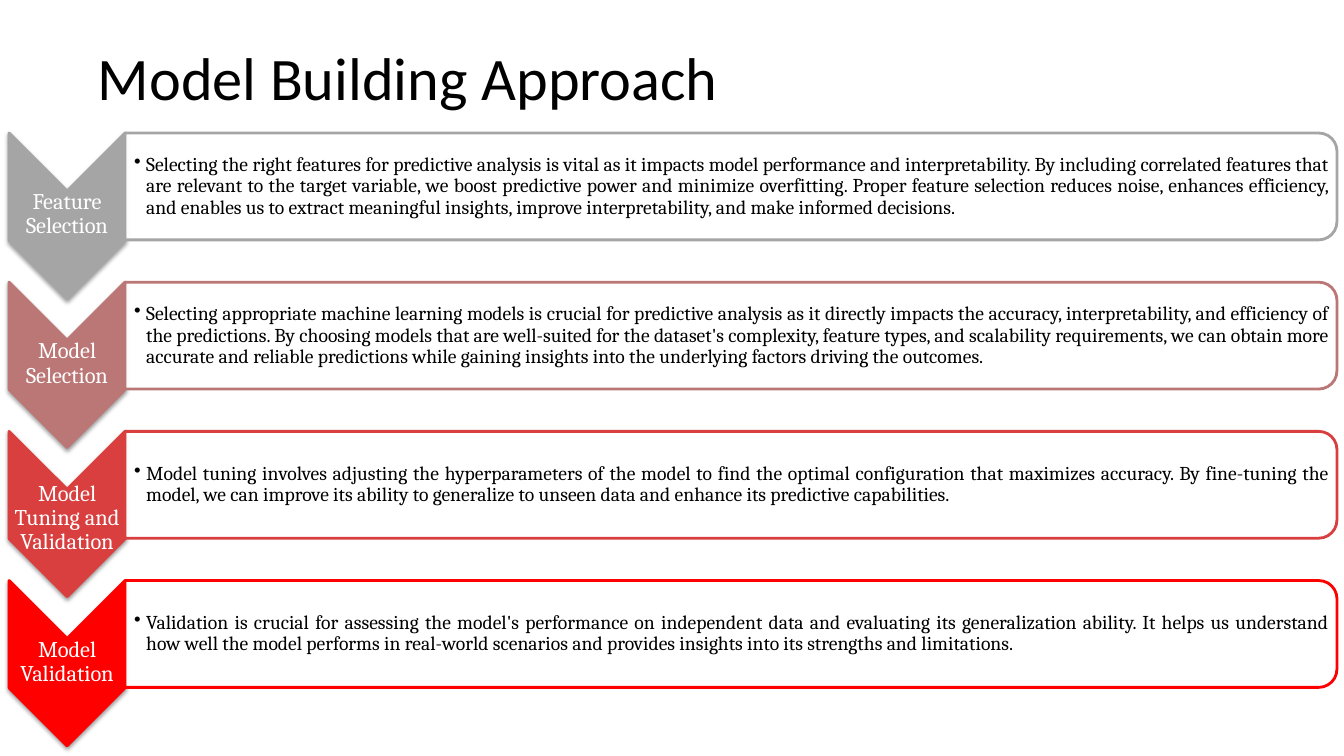
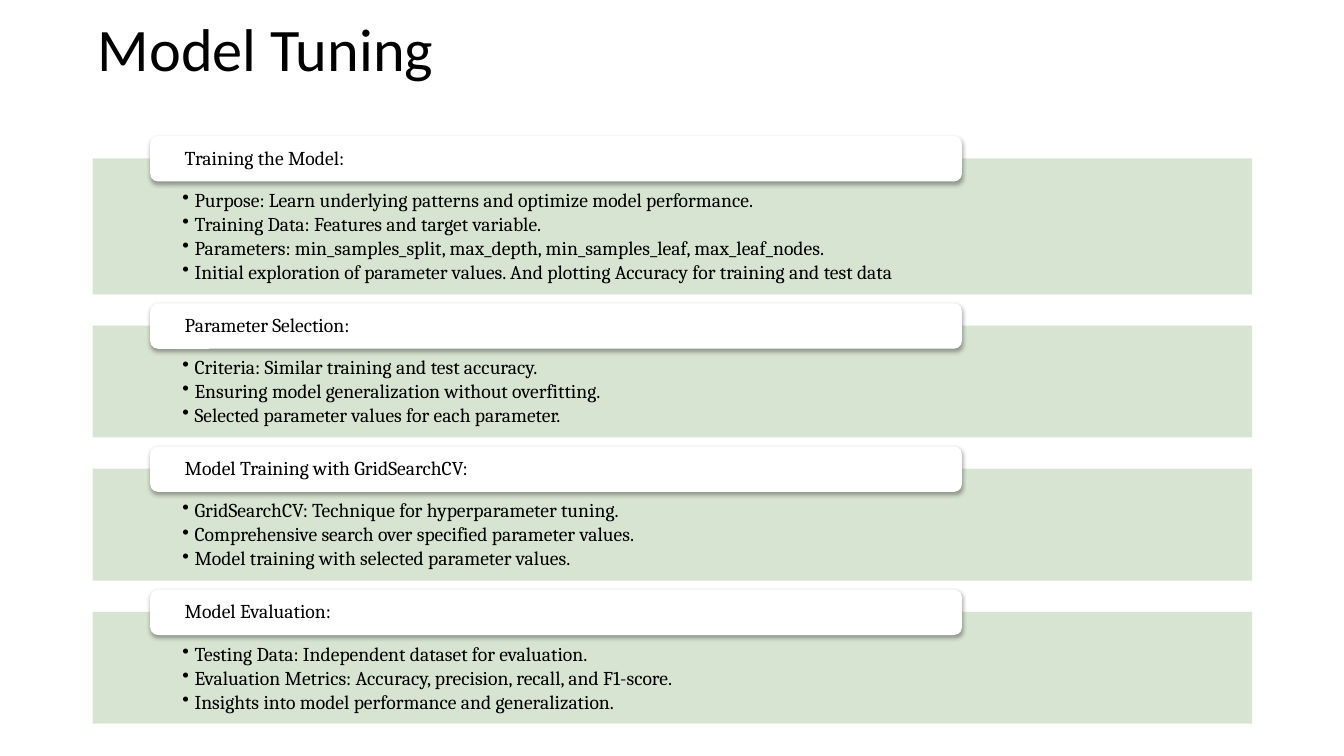
from lxml import etree
from pptx import Presentation
from pptx import util as u
from pptx.dml.color import RGBColor
from pptx.enum import shapes, text
from pptx.oxml.ns import qn

KIND = shapes.MSO_SHAPE
ALIGN = text.PP_ALIGN
ANCHOR = text.MSO_ANCHOR
BLACK, WHITE, PALE_GREEN = "000000", "FFFFFF", "D4E2CE"
TITLE_FONT, BODY_FONT = "Calibri", "Cambria"

STEPS = [
    ("A5A5A5", "Feature Selection", 56,
     "Selecting the right features for predictive analysis is vital as it impacts model performance and "
     "interpretability. By including correlated features that are relevant to the target variable, we boost "
     "predictive power and minimize overfitting. Proper feature selection reduces noise, enhances efficiency, "
     "and enables us to extract meaningful insights, improve interpretability, and make informed decisions."),
    ("BB7676", "Model Selection", 56,
     "Selecting appropriate machine learning models is crucial for predictive analysis as it directly impacts "
     "the accuracy, interpretability, and efficiency of the predictions. By choosing models that are well-suited "
     "for the dataset's complexity, feature types, and scalability requirements, we can obtain more accurate and "
     "reliable predictions while gaining insights into the underlying factors driving the outcomes."),
    ("D93F3F", "Model Tuning and Validation", 49,
     "Model tuning involves adjusting the hyperparameters of the model to find the optimal configuration that "
     "maximizes accuracy. By fine-tuning the model, we can improve its ability to generalize to unseen data and "
     "enhance its predictive capabilities."),
    ("FF0000", "Model Validation", 56,
     "Validation is crucial for assessing the model's performance on independent data and evaluating its "
     "generalization ability. It helps us understand how well the model performs in real-world scenarios and "
     "provides insights into its strengths and limitations."),
]

STAGES = [
    ("Training the Model:", [
        "Purpose: Learn underlying patterns and optimize model performance.",
        "Training Data: Features and target variable.",
        "Parameters: min_samples_split, max_depth, min_samples_leaf, max_leaf_nodes.",
        "Initial exploration of parameter values. And plotting Accuracy for training and test data"]),
    ("Parameter Selection:", [
        "Criteria: Similar training and test accuracy.",
        "Ensuring model generalization without overfitting.",
        "Selected parameter values for each parameter."]),
    ("Model Training with GridSearchCV:", [
        "GridSearchCV: Technique for hyperparameter tuning.",
        "Comprehensive search over specified parameter values.",
        "Model training with selected parameter values."]),
    ("Model Evaluation:", [
        "Testing Data: Independent dataset for evaluation.",
        "Evaluation Metrics: Accuracy, precision, recall, and F1-score.",
        "Insights into model performance and generalization."]),
]


def px(length):
    return u.Emu(int(length * 9144))


def color(value):
    return RGBColor.from_string(value)


def add_bullet(para):
    props = para._p.get_or_add_pPr()
    props.set("marL", str(px(12)))
    props.set("indent", str(px(-12)))
    bullet_color = etree.SubElement(props, qn("a:buClr"))
    etree.SubElement(bullet_color, qn("a:srgbClr"), val=BLACK)
    etree.SubElement(props, qn("a:buChar"), char="•")


def write(shape, lines, size, ink=BLACK, font=BODY_FONT, align=ALIGN.LEFT,
          anchor=ANCHOR.MIDDLE, insets=(1, 1, 1, 1), bullets=False):
    frame = shape.text_frame
    frame.word_wrap = True
    frame.vertical_anchor = anchor
    frame.margin_left, frame.margin_top, frame.margin_right, frame.margin_bottom = map(px, insets)
    frame.text = "\n".join(lines)
    for index, para in enumerate(frame.paragraphs):
        if bullets:
            add_bullet(para)
        para.alignment = align
        para.line_spacing = 0.9
        if index:
            para.space_before = u.Pt(2)
        para.font.size = u.Pt(size)
        para.font.name = font
        para.font.color.rgb = color(ink)


def add_text(page, x, y, w, h, lines, size, **style):
    box = page.shapes.add_textbox(px(x), px(y), px(w), px(h))
    write(box, lines, size, **style)


def add_block(page, kind, x, y, w, h, fill, line=None, opacity=100, shadow=None):
    block = page.shapes.add_shape(kind, px(x), px(y), px(w), px(h))
    block.fill.solid()
    block.fill.fore_color.rgb = color(fill)
    if opacity < 100:
        tint = block._element.spPr.find(qn("a:solidFill")).find(qn("a:srgbClr"))
        etree.SubElement(tint, qn("a:alpha"), val=str(opacity * 1000))
    if line:
        block.line.color.rgb = color(line)
        block.line.width = u.Pt(2)
    else:
        block.line.fill.background()
    block.shadow.inherit = False
    if shadow:
        distance, strength = shadow
        effects = block._element.spPr.find(qn("a:effectLst"))
        outer = etree.SubElement(effects, qn("a:outerShdw"), blurRad=str(u.Pt(3)),
                                 dist=str(u.Pt(distance)), dir="5400000", rotWithShape="0")
        tone = etree.SubElement(outer, qn("a:srgbClr"), val=BLACK)
        etree.SubElement(tone, qn("a:alpha"), val=str(strength * 1000))
    return block


def add_turned_block(page, kind, x, y, w, h, fill, **style):
    block = add_block(page, kind, x + (w - h) / 2, y + (h - w) / 2, h, w, fill, **style)
    block.rotation = 90
    return block


def add_title(page, y, title):
    add_text(page, 92, y, 1150, 66, [title], 43.1, font=TITLE_FONT, insets=(5, 0, 5, 0))


def add_step(page, x, y, accent, label, label_top, detail):
    chevron = add_turned_block(page, KIND.CHEVRON, x, y, 115, 164, accent, line=accent, shadow=(1.6, 38))
    chevron.adjustments[0] = 0.5
    add_text(page, x, y + label_top, 115, 52, [label], 16, ink=WHITE,
             align=ALIGN.CENTER, anchor=ANCHOR.TOP)
    panel = add_turned_block(page, KIND.ROUND_2_SAME_RECTANGLE, x + 115, y, 1202, 106, WHITE,
                             line=accent, opacity=90)
    panel.adjustments[0] = 0.17
    add_text(page, x + 123, y + 17, 1188, 72, [detail], 14, align=ALIGN.JUSTIFY, bullets=True)


def add_stage(page, x, y, h, heading, points):
    add_block(page, KIND.RECTANGLE, x, y, 1150, h, PALE_GREEN, opacity=90)
    add_text(page, x + 78, y + 21, 993, h - 10, points, 14, anchor=ANCHOR.TOP,
             insets=(11, 11, 11, 11), bullets=True)
    tab = add_block(page, KIND.ROUNDED_RECTANGLE, x + 57, y - 22, 805, 45, WHITE, shadow=(1.8, 35))
    tab.adjustments[0] = 0.17
    write(tab, [heading], 14, insets=(32, 0, 32, 0))


def build_approach(page):
    add_title(page, 47, "Model Building Approach")
    for index, step in enumerate(STEPS):
        add_step(page, 9, 132 + 148 * index, *step)


def build_tuning(page):
    add_title(page, 19, "Model Tuning")
    top = 157
    for heading, points in STAGES:
        height = 39 + 24 * len(points)
        add_stage(page, 92, top, height, heading, points)
        top += height + 31


def main():
    deck = Presentation()
    deck.slide_width, deck.slide_height = px(1333), px(750)
    for build in (build_approach, build_tuning):
        build(deck.slides.add_slide(deck.slide_layouts[6]))
    deck.save("out.pptx")


if __name__ == "__main__":
    main()
